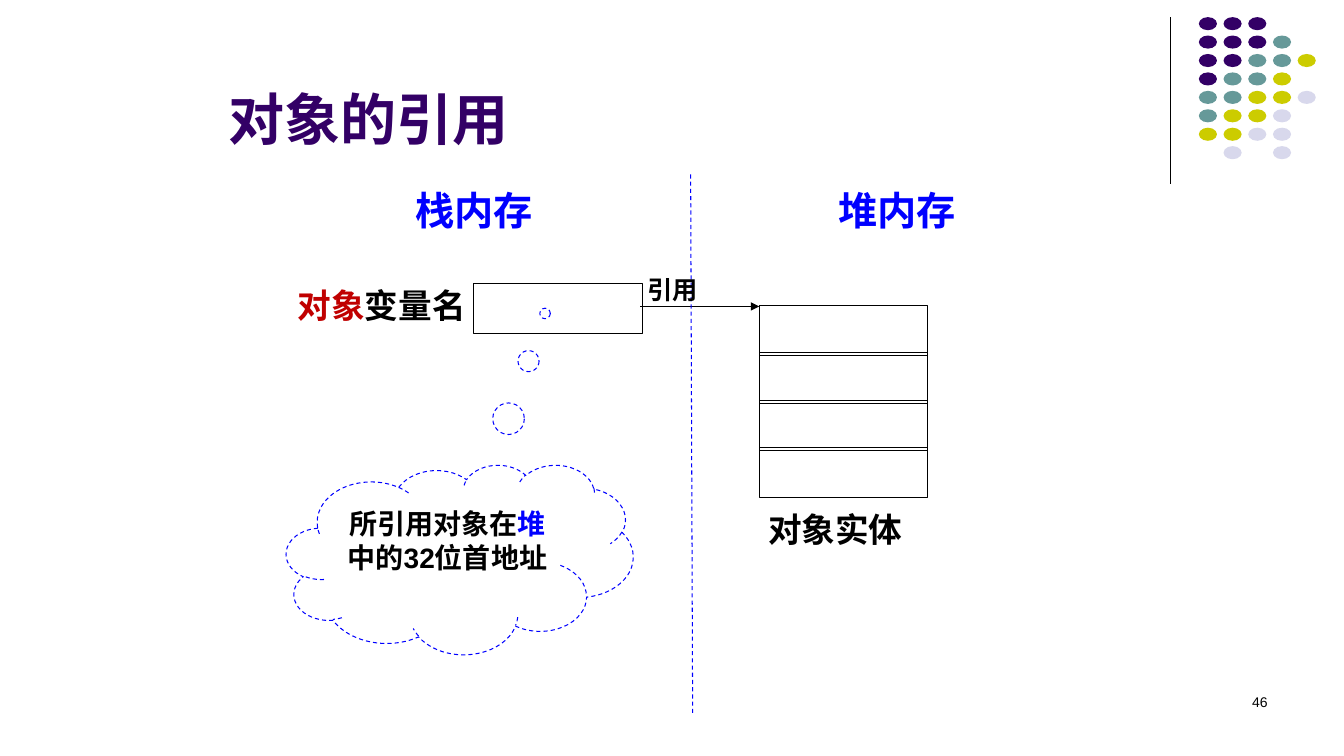
import pptx
import pptx.util
import pptx.dml.color
import pptx.enum.dml
import pptx.enum.shapes
import pptx.enum.text
import pptx.oxml.ns
from lxml import etree

Inches = pptx.util.Inches
SHAPES = pptx.enum.shapes.MSO_SHAPE
ALIGN = pptx.enum.text.PP_ALIGN
ANCHOR = pptx.enum.text.MSO_ANCHOR

# Content
CJK, SERIF, SANS = "Noto Sans CJK SC", "Times New Roman", "Arial"
BLACK, BLUE, RED, PURPLE = "000000", "0000FF", "C00000", "330066"

# Each label: place, runs of (text, colour), size, font, bold, alignment, anchor
LABELS = [
    ((9.56, 6.83, 3.11, 0.5), [("46", BLACK)], 10, SANS, False, ALIGN.RIGHT, ANCHOR.TOP),
    ((2.84, 2.78, 1.89, 0.5), [("对象", RED), ("变量名", BLACK)], 24, SERIF, True,
     ALIGN.CENTER, ANCHOR.TOP),
    ((7.52, 5, 1.65, 0.5), [("对象实体", BLACK)], 24, SERIF, True, ALIGN.LEFT, ANCHOR.TOP),
    ((3.95, 1.8, 1.5, 0.57), [("栈内存", BLUE)], 28, SANS, True, ALIGN.CENTER, ANCHOR.TOP),
    ((8.15, 1.8, 1.5, 0.57), [("堆内存", BLUE)], 28, SANS, True, ALIGN.CENTER, ANCHOR.TOP),
    ((2.17, 0.13, 8.25, 1.42), [("对象的引用", PURPLE)], 40, CJK, True,
     ALIGN.LEFT, ANCHOR.BOTTOM),
    ((6.32, 2.67, 0.86, 0.4), [("引用", BLACK)], 18, CJK, True, ALIGN.LEFT, ANCHOR.TOP),
]
CLOUD_RUNS = [("所引用对象在", BLACK), ("堆", BLUE), ("中的32位首地址", BLACK)]

# Corner dots: one letter per colour, a dot for an empty place
DOT_COLOURS = {"P": PURPLE, "T": "669999", "Y": "CCCC00", "L": "D8D8EC"}
DOT_ROWS = ["PPP", "PPPT", "PPTTY", "PTTY", "TTYYL", "TYYL", "YYLL", ".L.L"]

deck = pptx.Presentation()
deck.slide_width, deck.slide_height = Inches(13.33), Inches(7.5)
page = deck.slides.add_slide(deck.slide_layouts[6])


def colour(value):
    return pptx.dml.color.RGBColor.from_string(value)


def style_line(line, value, dashed=False):
    line.color.rgb = colour(value)
    line.width = pptx.util.Pt(0.75)
    if dashed:
        line.dash_style = pptx.enum.dml.MSO_LINE.DASH


def add_shape(kind, place, fill=None, outline=None, dashed=False):
    shape = page.shapes.add_shape(kind, *map(Inches, place))
    shape.shadow.inherit = False
    if fill:
        shape.fill.solid()
        shape.fill.fore_color.rgb = colour(fill)
    else:
        shape.fill.background()
    if outline:
        style_line(shape.line, outline, dashed)
    else:
        shape.line.fill.background()
    return shape


def add_line(start, end, value, dashed=False, arrow=False):
    line = page.shapes.add_connector(pptx.enum.shapes.MSO_CONNECTOR.STRAIGHT,
                                     *map(Inches, start + end))
    style_line(line.line, value, dashed)
    if arrow:
        etree.SubElement(line.line._get_or_add_ln(), pptx.oxml.ns.qn("a:tailEnd"),
                         type="triangle")
    etree.SubElement(line._element.spPr, pptx.oxml.ns.qn("a:effectLst"))


def write(box, runs, size, font, bold, align, anchor):
    frame = box.text_frame
    frame.word_wrap = True
    frame.vertical_anchor = anchor
    para = frame.paragraphs[0]
    para.alignment = align
    for text, value in runs:
        span = para.add_run()
        span.text = text
        span.font.size = pptx.util.Pt(size)
        span.font.bold = bold
        span.font.name = font
        span.font.color.rgb = colour(value)
        etree.SubElement(span.font._element, pptx.oxml.ns.qn("a:ea"), typeface=CJK)


# Corner decoration
add_line((11.61, 0.17), (11.61, 1.83), BLACK)
for row, letters in enumerate(DOT_ROWS):
    for column, letter in enumerate(letters):
        if letter != ".":
            place = (11.89 + 0.245 * column, 0.17 + 1.28 / 7 * row, 0.18, 0.13)
            add_shape(SHAPES.OVAL, place, fill=DOT_COLOURS[letter])

# Variable on the stack, its reference, and the object on the heap
add_shape(SHAPES.RECTANGLE, (4.7, 2.81, 1.67, 0.5), outline=BLACK)
add_line((6.35, 3.04), (7.53, 3.04), BLACK, arrow=True)
for cell in range(4):
    add_shape(SHAPES.RECTANGLE, (7.53, 3.03 + 0.47 * cell, 1.67, 0.5), outline=BLACK)

# Thought cloud, its text raised by a deeper bottom margin
cloud = add_shape(SHAPES.CLOUD_CALLOUT, (2.84, 4.61, 3.44, 1.88), outline=BLUE, dashed=True)
cloud.adjustments[0], cloud.adjustments[1] = 0.246, -1.298
write(cloud, CLOUD_RUNS, 20, SANS, True, ALIGN.CENTER, ANCHOR.MIDDLE)
cloud.text_frame.margin_bottom = Inches(0.34)

# Divider between the two memories
add_line((6.85, 1.73), (6.87, 7.08), BLUE, dashed=True)

# Title, labels and page number
for place, *text_style in LABELS:
    write(page.shapes.add_textbox(*map(Inches, place)), *text_style)

deck.save("out.pptx")
